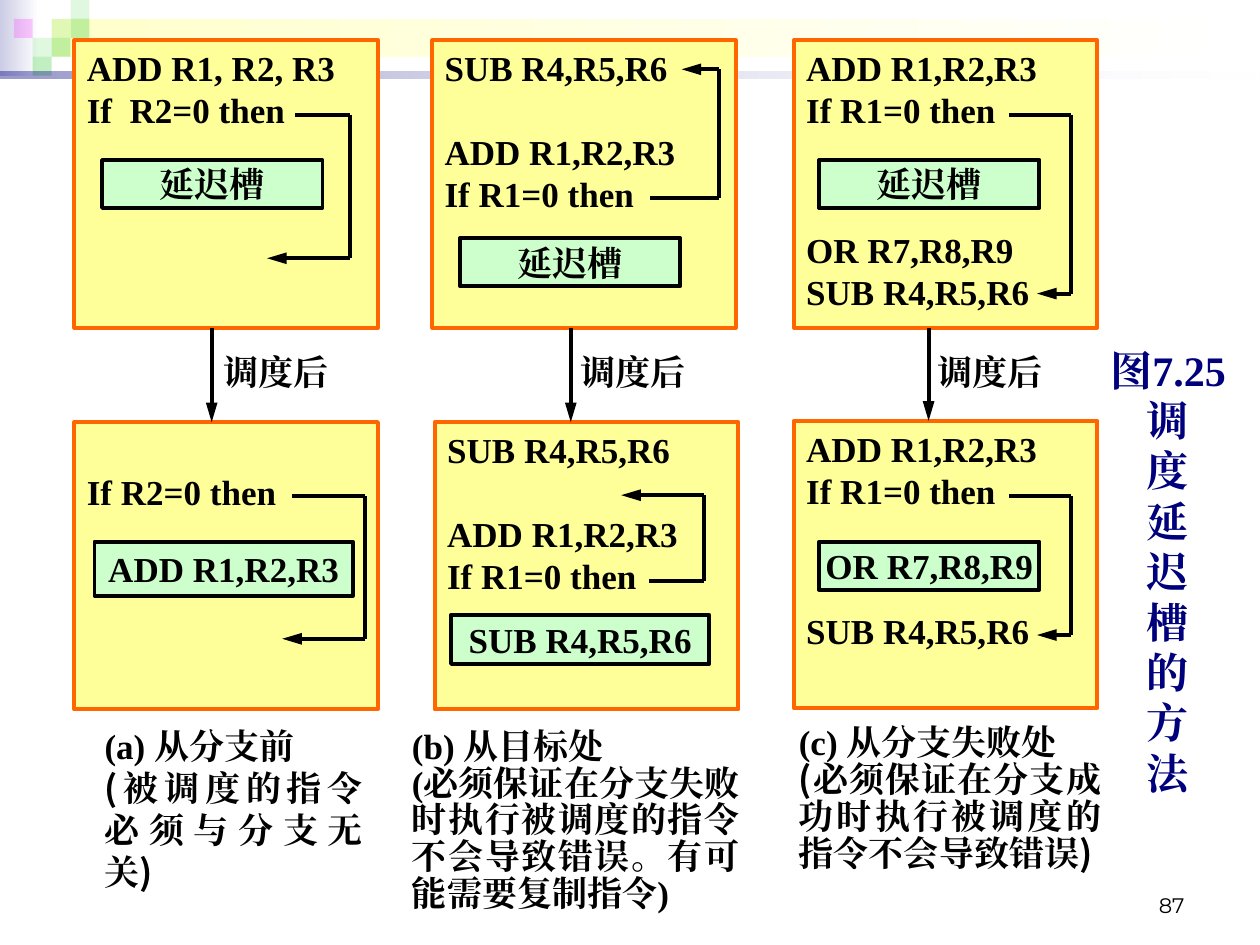
from dataclasses import dataclass
from itertools import pairwise

from lxml.etree import SubElement
from pptx import Presentation
from pptx.dml.color import RGBColor
from pptx.enum.shapes import MSO_CONNECTOR, MSO_SHAPE
from pptx.enum.text import MSO_ANCHOR, PP_ALIGN
from pptx.oxml.ns import qn
from pptx.util import Inches, Pt

BLACK = RGBColor(0, 0, 0)
WHITE = RGBColor(0xFF, 0xFF, 0xFF)
NAVY = RGBColor(0, 0, 0x7D)
ORANGE = RGBColor(0xFF, 0x66, 0)
YELLOW = RGBColor(0xFF, 0xFF, 0x99)
MINT = RGBColor(0xCC, 0xFF, 0xCC)
LAVENDER = RGBColor(0xCC, 0xCC, 0xE6)
CREAM = RGBColor(0xFF, 0xFF, 0xCC)
GREEN = RGBColor(0x33, 0xCC, 0x33)
MAGENTA = RGBColor(0xFF, 0, 0xFF)

SERIF = "Times New Roman"
SANS = "Noto Sans CJK SC"
STROKE = Pt(2.25)
CELL = 0.15          # side of a corner mosaic square
BOX_W, BOX_H = 2.41, 2.28
TOP_Y = 0.32
LINE_GAP = 24        # one skipped code line, in points
TARGET_GAP = 56      # two skipped lines and a little more


@dataclass
class Para:
    text: str
    before: float = 0
    spacing: float | None = None
    paren_font: str = SERIF

    def runs(self):
        """Split off the outer brackets when they have their own font."""
        if self.paren_font == SERIF:
            return [(self.text, SERIF)]
        return [(self.text[0], self.paren_font), (self.text[1:-1], SERIF),
                (self.text[-1], self.paren_font)]


def write(sp, paras, size=20, color=BLACK, bold=True, font=None,
          align=PP_ALIGN.JUSTIFY, anchor=MSO_ANCHOR.TOP, inset=(0, 0), top=None):
    """Fill a shape with paragraphs; inset is (horizontal, vertical) in inches."""
    tf = sp.text_frame
    tf.word_wrap = True
    tf.vertical_anchor = anchor
    tf.margin_left = tf.margin_right = Inches(inset[0])
    tf.margin_top = Inches(inset[1] if top is None else top)
    tf.margin_bottom = Inches(inset[1])
    for i, para in enumerate(paras):
        p = tf.add_paragraph() if i else tf.paragraphs[0]
        p.alignment = align
        if para.before:
            p.space_before = Pt(para.before)
        if para.spacing:
            p.line_spacing = para.spacing
        for text, face in para.runs():
            r = p.add_run()
            r.text = text
            r.font.size, r.font.bold = Pt(size), bold
            r.font.name = font or face
            r.font.color.rgb = color
            ea = SubElement(r.font._element, qn("a:ea"))
            ea.set("typeface", font or face)


def set_alpha(color_element, percent):
    SubElement(color_element, qn("a:alpha")).set("val", str(percent * 1000))


def rect(s, x, y, w, h, fill, line=None, alpha=None):
    sp = s.shapes.add_shape(MSO_SHAPE.RECTANGLE, Inches(x), Inches(y), Inches(w), Inches(h))
    sp.shadow.inherit = False
    sp.fill.solid()
    sp.fill.fore_color.rgb = fill
    if alpha is not None:
        set_alpha(sp._element.spPr.find(".//" + qn("a:srgbClr")), alpha)
    if line is None:
        sp.line.fill.background()
    else:
        sp.line.color.rgb = line
        sp.line.width = STROKE
    return sp


def gradient_bar(s, x, y, w, h, start, alphas=None):
    """Bar fading from start to white, left to right."""
    sp = rect(s, x, y, w, h, start)
    sp.fill.gradient()
    sp.fill.gradient_angle = 0
    for stop, color in zip(sp.fill.gradient_stops, (start, WHITE)):
        stop.color.rgb = color
    if alphas:
        for clr, alpha in zip(sp._element.spPr.iter(qn("a:srgbClr")), alphas):
            set_alpha(clr, alpha)


def arrow(s, *points):
    """Straight segments through the points, with a head at the last one."""
    for (x1, y1), (x2, y2) in pairwise(points):
        c = s.shapes.add_connector(MSO_CONNECTOR.STRAIGHT, Inches(x1), Inches(y1),
                                   Inches(x2), Inches(y2))
        c.line.color.rgb = BLACK
        c.line.width = STROKE
        SubElement(c._element.spPr, qn("a:effectLst"))
    head = SubElement(c.line._get_or_add_ln(), qn("a:tailEnd"))
    for key, value in (("type", "triangle"), ("w", "med"), ("len", "lg")):
        head.set(key, value)


def jump(s, start, bend_x, end):
    """Branch arrow that leaves sideways, turns at bend_x and comes back."""
    arrow(s, start, (bend_x, start[1]), (bend_x, end[1]), end)


def code_box(s, x, y, paras, skipped_lines=0):
    sp = rect(s, x, y, BOX_W, BOX_H, YELLOW, ORANGE)
    write(sp, paras, inset=(0.1, 0.05), top=0.05 + skipped_lines * LINE_GAP / 72)


def slot(s, x, y, text="延迟槽", w=1.75, h=0.38):
    write(rect(s, x, y, w, h, MINT, BLACK), [Para(text)],
          align=PP_ALIGN.CENTER, anchor=MSO_ANCHOR.MIDDLE)


def step(s, x, label_x, end_y=3.35):
    """Arrow from the upper box to the lower one, with its label."""
    arrow(s, (x, 2.6), (x, end_y))
    write(rect(s, label_x, 2.78, 0.88, 0.38, WHITE), [Para("调度后")])


def caption(s, x, y, w, h, heading, note):
    write(rect(s, x, y, w, h, WHITE), [Para(heading), note])


def decoration(s):
    gradient_bar(s, 0, 0, 0.31, 0.6, LAVENDER)
    gradient_bar(s, 0.41, 0.15, 9.55, 0.3, CREAM)
    mosaic = [(2, 1, GREEN, 15), (3, 0, GREEN, 15), (3, 1, GREEN, 30),
              (1, 2, GREEN, 15), (0, 1, MAGENTA, 20), (2, 2, GREEN, 30),
              (1, 3, GREEN, 30)]
    for col, row, color, alpha in mosaic:
        rect(s, 0.11 + col * CELL, row * CELL, CELL, CELL, color, alpha=alpha)
    gradient_bar(s, 0, 0.57, 10, 0.05, NAVY, alphas=(40, 10))


def from_before(s):
    code_box(s, 0.59, TOP_Y, [Para("ADD R1, R2, R3"), Para("If  R2=0 then")])
    slot(s, 0.81, 1.27)
    jump(s, (2.34, 0.91), 2.78, (2.12, 2.05))
    code_box(s, 0.59, 3.35, [Para("If R2=0 then")], skipped_lines=1)
    slot(s, 0.75, 4.3, "ADD R1,R2,R3", 2.05, 0.43)
    jump(s, (2.32, 3.94), 2.9, (2.24, 5.07))
    step(s, 1.68, 1.77)
    caption(s, 0.83, 5.75, 2.05, 1.11, "(a) 从分支前",
            Para("(被调度的指令必须与分支无关)", paren_font=SANS))


def from_target(s):
    code = [Para("SUB R4,R5,R6"), Para("ADD R1,R2,R3", before=LINE_GAP), Para("If R1=0 then")]
    code_box(s, 3.43, TOP_Y, code)
    slot(s, 3.65, 1.89)
    jump(s, (5.16, 1.57), 5.71, (5.41, 0.55))
    code_box(s, 3.45, 3.35, code)
    slot(s, 3.58, 4.88, "SUB R4,R5,R6", 2.05, 0.39)
    jump(s, (5.15, 4.61), 5.59, (4.93, 3.93))
    step(s, 4.53, 4.61)
    caption(s, 3.27, 5.75, 2.6, 1.47, "(b) 从目标处",
            Para("(必须保证在分支失败时执行被调度的指令不会导致错误。有可能需要复制指令)", spacing=0.88))


def from_fall_through(s):
    branch = [Para("ADD R1,R2,R3"), Para("If R1=0 then")]
    code_box(s, 6.3, TOP_Y, branch + [Para("OR R7,R8,R9", before=TARGET_GAP),
                                      Para("SUB R4,R5,R6")])
    slot(s, 6.5, 1.27)
    jump(s, (8.01, 0.91), 8.5, (8.23, 2.33))
    code_box(s, 6.3, 3.34, branch + [Para("SUB R4,R5,R6", before=TARGET_GAP)])
    slot(s, 6.5, 4.3, "OR R7,R8,R9")
    jump(s, (8.01, 3.94), 8.5, (8.23, 5.04))
    step(s, 7.37, 7.44, end_y=3.34)
    caption(s, 6.34, 5.72, 2.4, 1.22, "(c) 从分支失败处",
            Para("(必须保证在分支成功时执行被调度的指令不会导致错误)", spacing=0.88, paren_font=SANS))


def text_box(s, x, y, w, h, paras, **fmt):
    write(s.shapes.add_textbox(Inches(x), Inches(y), Inches(w), Inches(h)), paras, **fmt)


def main():
    prs = Presentation()
    prs.slide_width, prs.slide_height = Inches(10), Inches(7.5)
    s = prs.slides.add_slide(prs.slide_layouts[6])
    decoration(s)
    for scheme in (from_before, from_target, from_fall_through):
        scheme(s)
    text_box(s, 8.74, 2.52, 1.06, 4.02, [Para(t) for t in ("图7.25", *"调度延迟槽的方法")],
             size=24, color=NAVY, align=PP_ALIGN.CENTER, anchor=MSO_ANCHOR.MIDDLE)
    text_box(s, 7.17, 6.83, 2.33, 0.5, [Para("87")], size=12, bold=False, font="Montserrat",
             align=PP_ALIGN.RIGHT, anchor=MSO_ANCHOR.BOTTOM, inset=(0.1, 0.05))
    prs.save("out.pptx")


if __name__ == "__main__":
    main()
